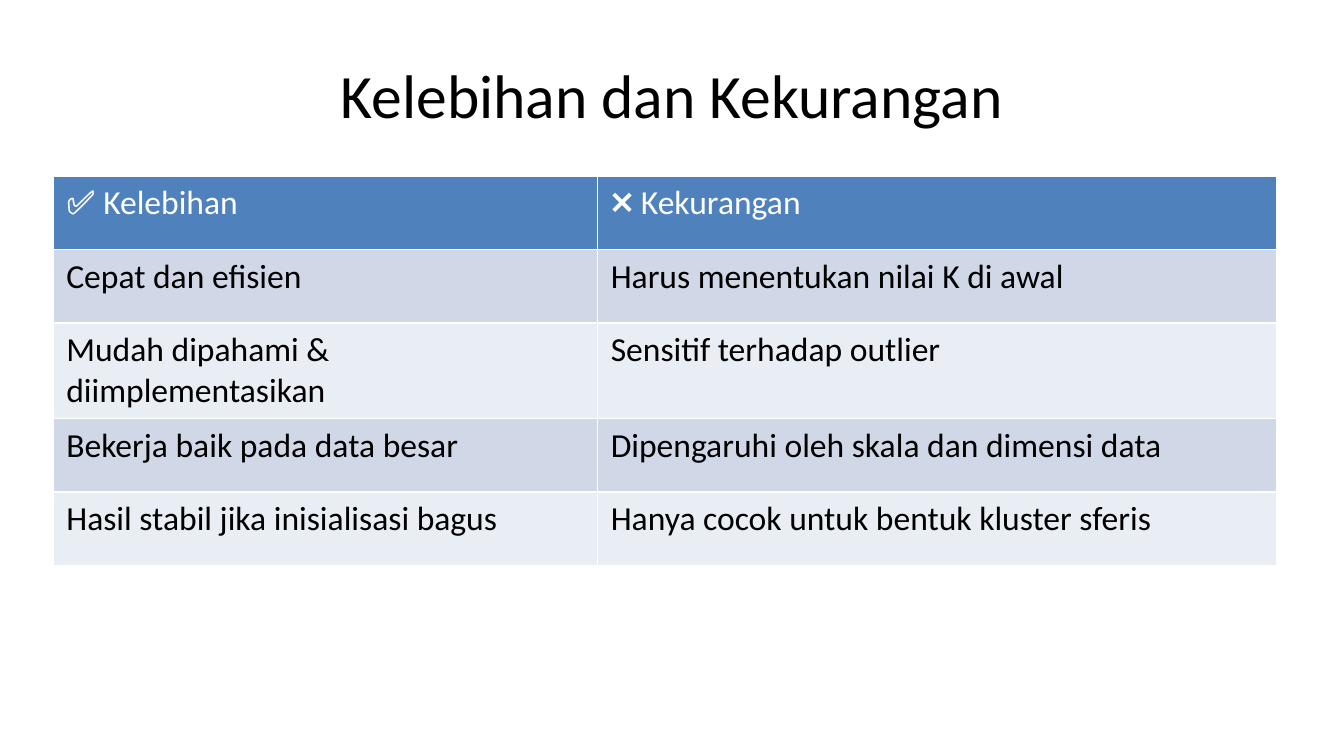
from pptx import Presentation
from pptx.dml.color import RGBColor
from pptx.enum.text import MSO_ANCHOR, PP_ALIGN
from pptx.util import Cm, Pt

CENTER = PP_ALIGN.CENTER
MIDDLE = MSO_ANCHOR.MIDDLE
TITLE_ONLY = 5

FONT = "Calibri"
BLACK = RGBColor(0x00, 0x00, 0x00)
WHITE = RGBColor(0xFF, 0xFF, 0xFF)
HEADER_BLUE = RGBColor(0x4F, 0x81, 0xBD)
BAND_DARK = RGBColor(0xD0, 0xD8, 0xE8)
BAND_LIGHT = RGBColor(0xE9, 0xED, 0xF4)

COLUMN_WIDTHS = (Cm(10.29), Cm(12.85))
ROW_HEIGHT = Cm(1.39)
ROWS = (
    ("✅ Kelebihan", "❌ Kekurangan"),
    ("Cepat dan efisien", "Harus menentukan nilai K di awal"),
    ("Mudah dipahami & diimplementasikan", "Sensitif terhadap outlier"),
    ("Bekerja baik pada data besar", "Dipengaruhi oleh skala dan dimensi data"),
    ("Hasil stabil jika inisialisasi bagus", "Hanya cocok untuk bentuk kluster sferis"),
)


def format_paragraph(paragraph, size, color):
    font = paragraph.font
    font.name = FONT
    font.size = Pt(size)
    font.bold = False
    font.color.rgb = color


def set_title(slide, text):
    title = slide.shapes.title
    title.left, title.top = Cm(1.27), Cm(0.58)
    title.width, title.height = Cm(22.86), Cm(2.39)
    frame = title.text_frame
    frame.text = text
    frame.vertical_anchor = MIDDLE
    paragraph = frame.paragraphs[0]
    paragraph.alignment = CENTER
    format_paragraph(paragraph, 33, BLACK)


def row_colors(row_index):
    """Return the fill and text colours of a table row."""
    if row_index == 0:
        return HEADER_BLUE, WHITE
    return (BAND_DARK if row_index % 2 else BAND_LIGHT), BLACK


def add_comparison_table(slide):
    """Add the table; its default style supplies the white borders."""
    table = slide.shapes.add_table(
        len(ROWS), len(COLUMN_WIDTHS), Cm(1), Cm(3.33),
        sum(COLUMN_WIDTHS), ROW_HEIGHT * len(ROWS),
    ).table
    for column, width in zip(table.columns, COLUMN_WIDTHS):
        column.width = width
    for row_index, texts in enumerate(ROWS):
        fill_color, text_color = row_colors(row_index)
        for cell, text in zip(table.rows[row_index].cells, texts):
            cell.text = text
            cell.fill.solid()
            cell.fill.fore_color.rgb = fill_color
            format_paragraph(cell.text_frame.paragraphs[0], 18, text_color)


def main():
    presentation = Presentation()
    presentation.slide_width = Cm(25.4)
    presentation.slide_height = Cm(14.29)
    slide = presentation.slides.add_slide(presentation.slide_layouts[TITLE_ONLY])
    set_title(slide, "Kelebihan dan Kekurangan")
    add_comparison_table(slide)
    presentation.save("out.pptx")


if __name__ == "__main__":
    main()
